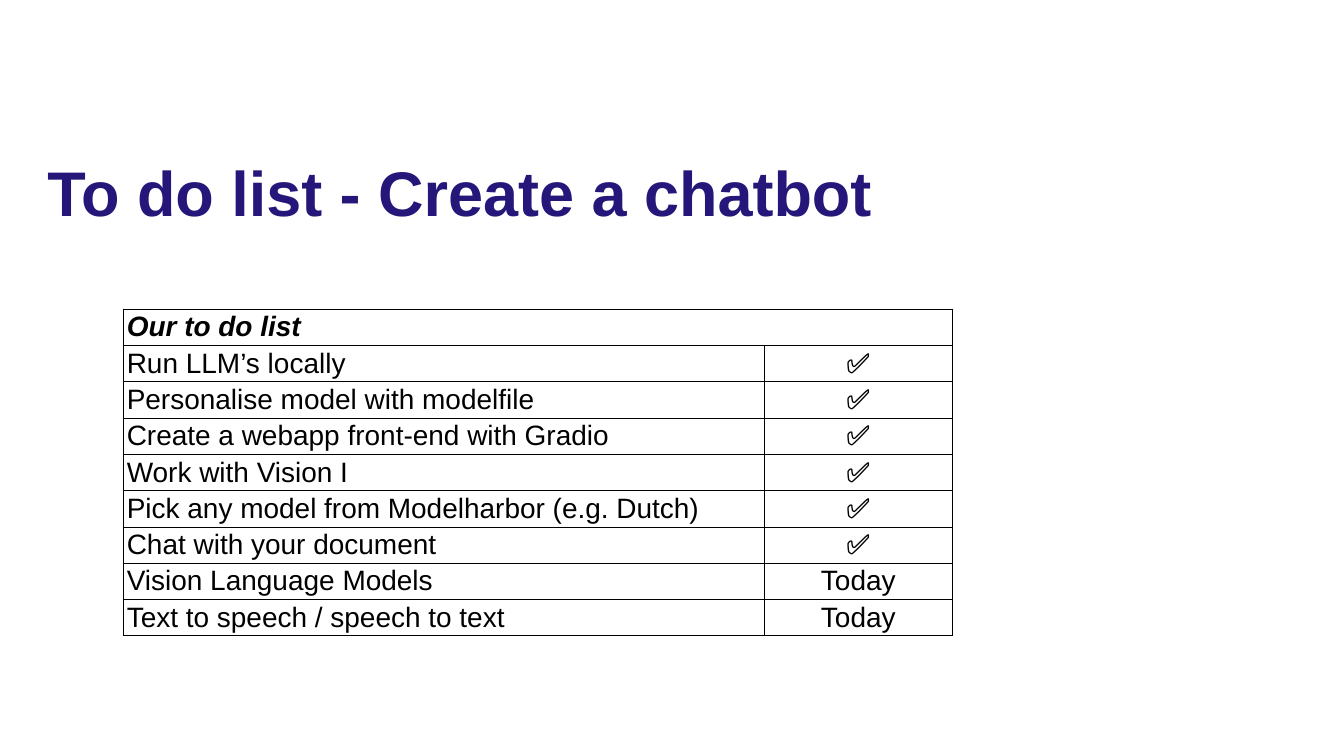
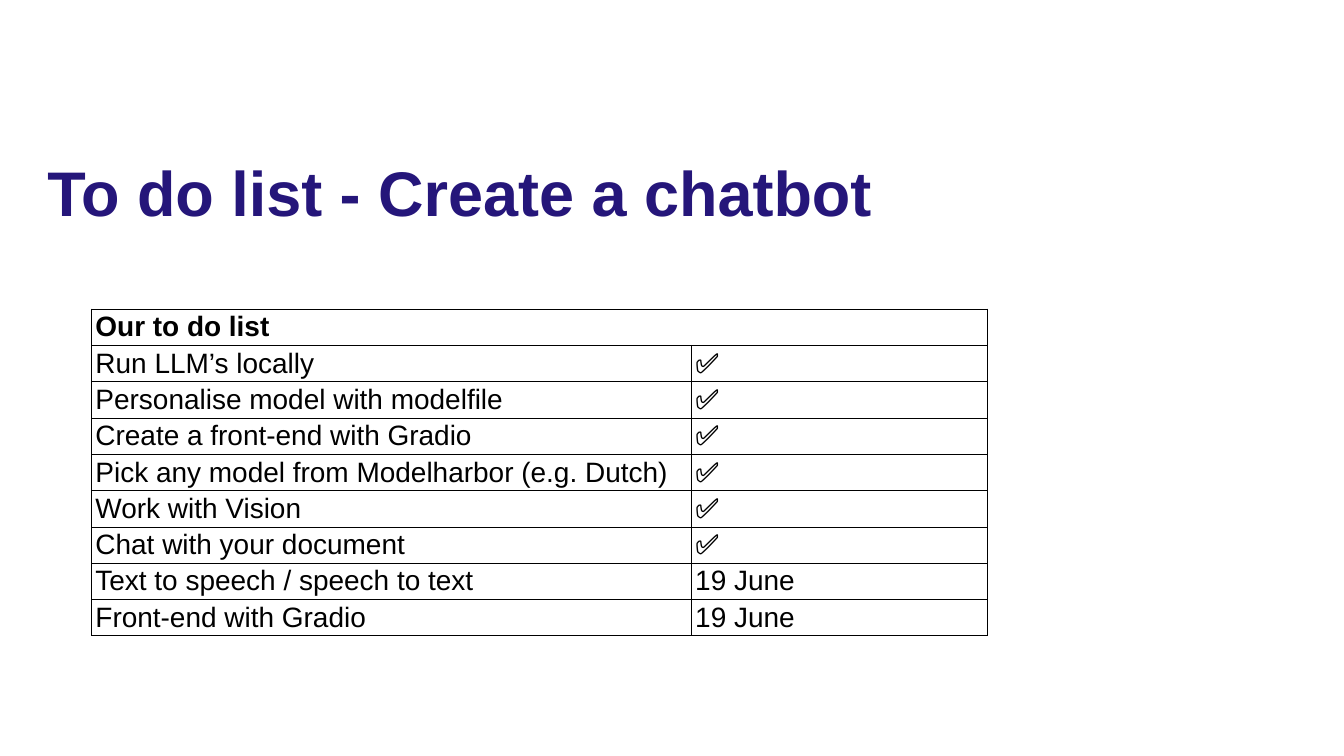
"""Build two slides that show the to do list of a chatbot course."""
from lxml import etree
from pptx import Presentation
from pptx.dml.color import RGBColor
from pptx.enum.text import MSO_ANCHOR, MSO_AUTO_SIZE, PP_ALIGN
from pptx.oxml.ns import qn
from pptx.util import Cm, Pt

LEFT, CENTER = PP_ALIGN.LEFT, PP_ALIGN.CENTER
TOP, MIDDLE = MSO_ANCHOR.TOP, MSO_ANCHOR.MIDDLE
NO_AUTOFIT = MSO_AUTO_SIZE.NONE
INDIGO = RGBColor(0x25, 0x16, 0x7A)
BLACK = RGBColor(0x00, 0x00, 0x00)
FONT = "Arial"
TITLE = "To do list - Create a chatbot"
HEADING = "Our to do list"
DONE = "✅"
ROW_HEIGHT = 1.83

TO_DO_LISTS = [
    {
        "left": 6.2, "widths": (32.31, 9.5),
        "status_align": CENTER, "heading_italic": True,
        "tasks": [
            ("Run LLM’s locally", DONE),
            ("Personalise model with modelfile", DONE),
            ("Create a webapp front-end with Gradio", DONE),
            ("Work with Vision I", DONE),
            ("Pick any model from Modelharbor (e.g. Dutch)", DONE),
            ("Chat with your document", DONE),
            ("Vision Language Models", "Today"),
            ("Text to speech / speech to text", "Today"),
        ],
    },
    {
        "left": 4.62, "widths": (30.23, 14.91),
        "status_align": LEFT, "heading_italic": False,
        "tasks": [
            ("Run LLM’s locally", DONE),
            ("Personalise model with modelfile", DONE),
            ("Create a front-end with Gradio", DONE),
            ("Pick any model from Modelharbor (e.g. Dutch)", DONE),
            ("Work with Vision", DONE),
            ("Chat with your document", DONE),
            ("Text to speech / speech to text", "19 June"),
            ("Front-end with Gradio", "19 June"),
        ],
    },
]


def write(paragraph, text, size, color, align=LEFT, bold=False, italic=False):
    paragraph.alignment = align
    run = paragraph.add_run()
    run.text = text
    run.font.name = FONT
    run.font.size = Pt(size)
    run.font.color.rgb = color
    run.font.bold = bold
    run.font.italic = italic


def frame_cell(cell):
    properties = cell._tc.get_or_add_tcPr()
    for side in ("a:lnL", "a:lnR", "a:lnT", "a:lnB"):
        border = etree.SubElement(properties, qn(side), w=str(Pt(1)))
        fill = etree.SubElement(border, qn("a:solidFill"))
        etree.SubElement(fill, qn("a:srgbClr"), val=str(BLACK))
    cell.fill.background()
    cell.margin_left = cell.margin_right = Cm(0.19)
    cell.margin_top = cell.margin_bottom = Cm(0.1)
    cell.vertical_anchor = MIDDLE


deck = Presentation()
deck.slide_width, deck.slide_height = Cm(67.74), Cm(38.1)
title_only = deck.slide_layouts[5]

for to_do in TO_DO_LISTS:
    slide = deck.slides.add_slide(title_only)

    title = slide.shapes.title
    title.left, title.top = Cm(2.39), Cm(7.37)
    title.width, title.height = Cm(59.16), Cm(8.2)
    heading_frame = title.text_frame
    heading_frame.auto_size = NO_AUTOFIT
    heading_frame.vertical_anchor = TOP
    heading_frame.margin_left = heading_frame.margin_right = 0
    heading_frame.margin_top, heading_frame.margin_bottom = Cm(0.35), 0
    write(heading_frame.paragraphs[0], TITLE, 90, INDIGO, bold=True)

    row_count = len(to_do["tasks"]) + 1
    checklist = slide.shapes.add_table(
        row_count, 2, Cm(to_do["left"]), Cm(15.57),
        Cm(sum(to_do["widths"])), Cm(ROW_HEIGHT * row_count)).table
    checklist.first_row = checklist.horz_banding = False
    for column, width in zip(checklist.columns, to_do["widths"]):
        column.width = Cm(width)
    for row in checklist.rows:
        row.height = Cm(ROW_HEIGHT)
    for cell in checklist.iter_cells():
        frame_cell(cell)

    heading = checklist.cell(0, 0)
    heading.merge(checklist.cell(0, 1))
    write(heading.text_frame.paragraphs[0], HEADING, 40, BLACK,
          bold=True, italic=to_do["heading_italic"])
    for number, entry in enumerate(to_do["tasks"], start=1):
        for column, align in enumerate((LEFT, to_do["status_align"])):
            paragraph = checklist.cell(number, column).text_frame.paragraphs[0]
            write(paragraph, entry[column], 40, BLACK, align)

deck.save("out.pptx")
